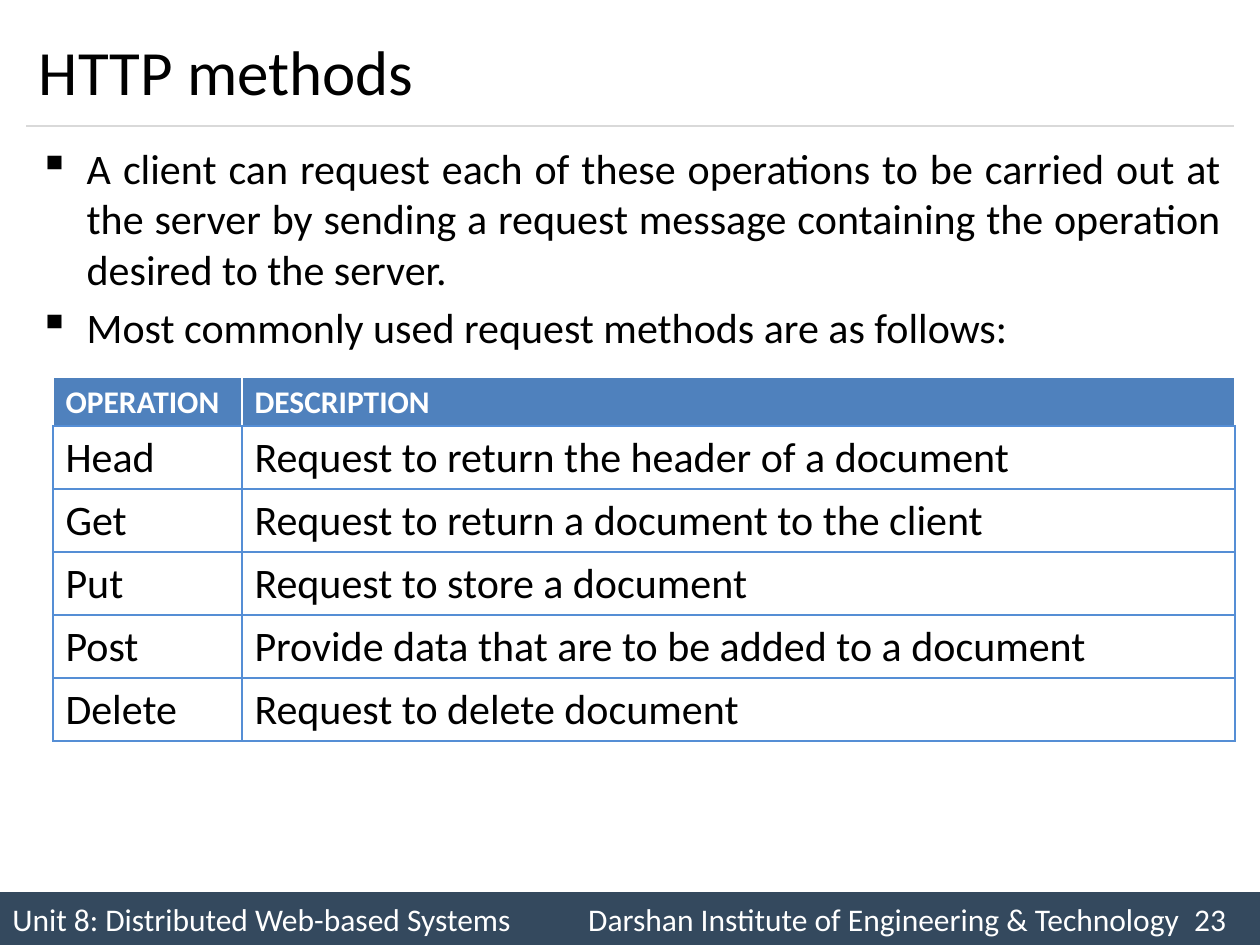
from lxml import etree
from pptx import Presentation
from pptx.dml.color import RGBColor
from pptx.enum import shapes, text
from pptx.oxml.ns import qn
from pptx.util import Inches, Pt

BLACK, WHITE, NAVY = "000000", "FFFFFF", "34495E"
GREY, BLUE, EDGE = "D9D9D9", "4F81BD", "558ED5"


def color(code):
    return RGBColor.from_string(code)


def sub(node, tag, **attrs):
    """Add a child element under node."""
    return etree.SubElement(node, qn(tag), {k: str(v) for k, v in attrs.items()})


def border(cell, sides):
    """Draw cell edges; sides maps L, R, T, B to (colour, points)."""
    props = cell._tc.get_or_add_tcPr()
    for side, (code, width) in sides.items():
        line = sub(props, f"a:ln{side}", w=int(Pt(width)))
        sub(sub(line, "a:solidFill"), "a:srgbClr", val=code)


class Deck:
    font = "Calibri"

    def __init__(self, slide):
        self.slide = slide

    def add_run(self, para, words, size, code=BLACK, bold=False):
        run = para.add_run()
        run.text = words
        run.font.name, run.font.size, run.font.bold = self.font, Pt(size), bold
        run.font.color.rgb = color(code)

    def frame(self, x, y, w, h):
        box = self.slide.shapes.add_textbox(*map(Inches, (x, y, w, h)))
        box.text_frame.word_wrap = True
        return box.text_frame

    def title(self, words, *at):
        frame = self.frame(*at)
        frame.vertical_anchor = text.MSO_ANCHOR.MIDDLE
        self.add_run(frame.paragraphs[0], words, 36)

    def bullets(self, items, *at):
        frame = self.frame(*at)
        for i, words in enumerate(items):
            para = frame.add_paragraph() if i else frame.paragraphs[0]
            para.alignment = text.PP_ALIGN.JUSTIFY
            if i:
                para.space_before = Pt(4.8)
            props = para._p.get_or_add_pPr()
            props.set("marL", str(int(Inches(0.38))))
            props.set("indent", str(-int(Inches(0.38))))
            sub(props, "a:buChar", char="▪")
            self.add_run(para, words, 24)

    def rule(self, x1, x2, y):
        line = self.slide.shapes.add_connector(
            shapes.MSO_CONNECTOR.STRAIGHT, *map(Inches, (x1, y, x2, y)))
        line.line.color.rgb = color(GREY)
        line.line.width = Pt(0.75)
        sub(line._element.spPr, "a:effectLst")

    def footer(self, parts, stops, *at):
        """Set parts in one bar, each later part at its tab stop."""
        bar = self.slide.shapes.add_shape(
            shapes.MSO_SHAPE.RECTANGLE, *map(Inches, at))
        bar.shadow.inherit = False
        bar.fill.solid()
        bar.fill.fore_color.rgb = color(NAVY)
        bar.line.fill.background()
        bar.text_frame.vertical_anchor = text.MSO_ANCHOR.MIDDLE
        para = bar.text_frame.paragraphs[0]
        para.alignment = text.PP_ALIGN.LEFT
        tabs = sub(para._p.get_or_add_pPr(), "a:tabLst")
        for stop in stops:
            sub(tabs, "a:tab", pos=int(Inches(stop)), algn="l")
        self.add_run(para, "\t".join(parts), 18, WHITE)

    def table(self, rows, x, y, widths, height, sides, size,
              code=BLACK, fill=None, bold=False, align=None):
        grid = self.slide.shapes.add_table(
            len(rows), len(widths), Inches(x), Inches(y),
            Inches(sum(widths)), Inches(height * len(rows))).table
        grid.first_row = bool(fill)
        grid.horz_banding = False
        for col, width in zip(grid.columns, widths):
            col.width = Inches(width)
        for r, row in enumerate(rows):
            for c, words in enumerate(row):
                cell = grid.cell(r, c)
                border(cell, sides)
                if fill:
                    cell.fill.solid()
                    cell.fill.fore_color.rgb = color(fill)
                else:
                    cell.fill.background()
                para = cell.text_frame.paragraphs[0]
                para.alignment = align
                self.add_run(para, words, size, code, bold)


def main():
    prs = Presentation()
    prs.slide_width, prs.slide_height = Inches(10), Inches(7.5)
    deck = Deck(prs.slides.add_slide(prs.slide_layouts[6]))

    deck.footer(["Unit 8: Distributed Web-based Systems",
                 "Darshan Institute of Engineering & Technology", "23"],
                [4.57, 9.38], 0, 7.08, 10, 0.42)
    deck.rule(0.21, 9.79, 1)
    deck.title("HTTP methods", 0.21, 0.12, 9.58, 0.88)
    deck.bullets([
        "A client can request each of these operations to be carried out at "
        "the server by sending a request message containing the operation "
        "desired to the server.",
        "Most commonly used request methods are as follows:",
    ], 0.21, 1.08, 9.58, 5.83)

    widths = [1.5, 7.88]
    head = {**dict.fromkeys("LRT", (WHITE, 1)), "B": (WHITE, 3)}
    deck.table([["OPERATION", "DESCRIPTION"]], 0.42, 2.99, widths, 0.41,
               head, 18, WHITE, BLUE, True)
    deck.table([
        ["Head", "Request to return the header of a document"],
        ["Get", "Request to return a document to the client"],
        ["Put", "Request to store a document"],
        ["Post", "Provide data that are to be added to a document"],
        ["Delete", "Request to delete document"],
    ], 0.42, 3.38, widths, 0.5, dict.fromkeys("LRTB", (EDGE, 1)), 24,
        align=text.PP_ALIGN.JUSTIFY)

    prs.save("out.pptx")


if __name__ == "__main__":
    main()
